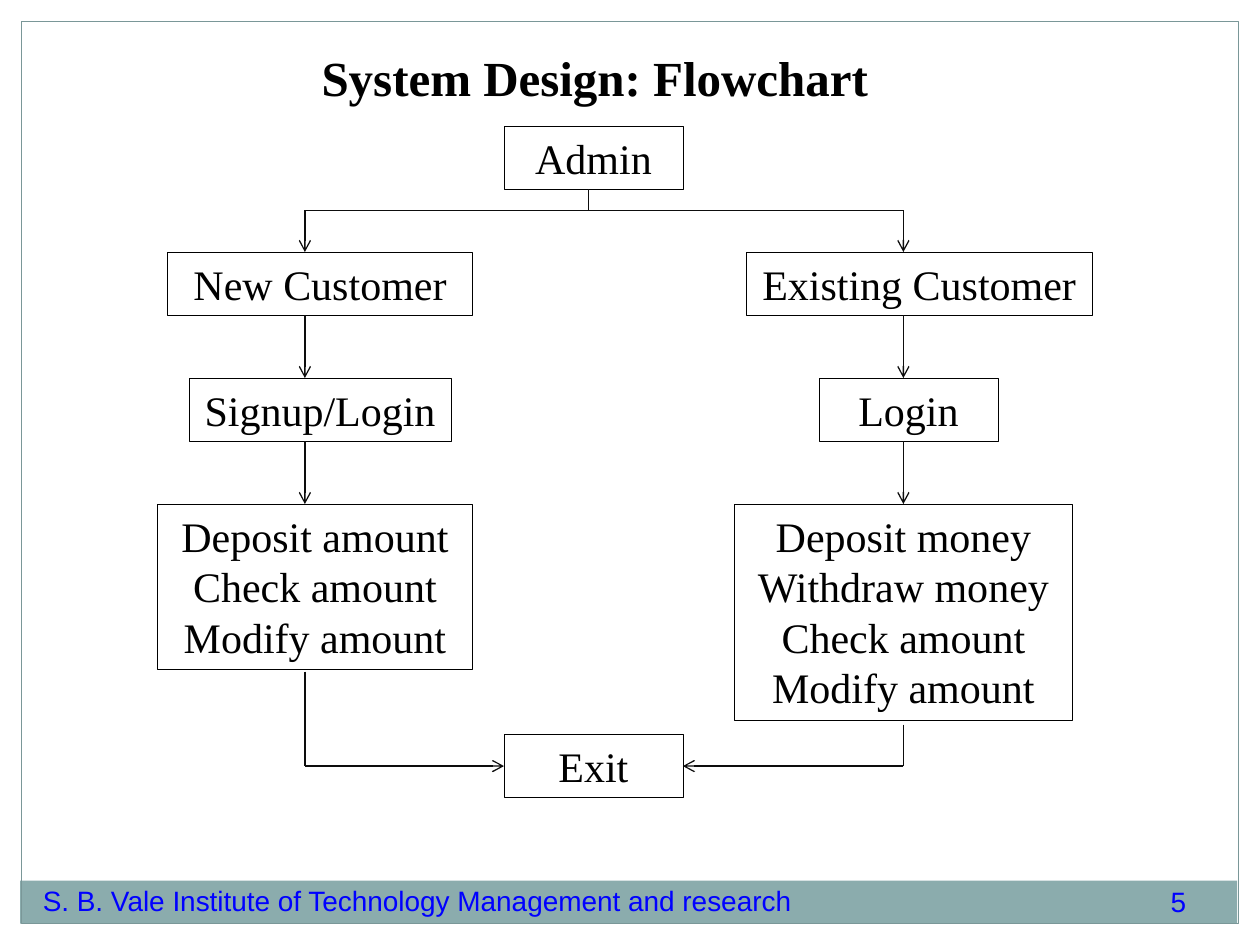
from lxml import etree
from pptx import Presentation
from pptx.dml.color import RGBColor
from pptx.enum.shapes import MSO_CONNECTOR, MSO_SHAPE
from pptx.enum.text import MSO_ANCHOR, PP_ALIGN
from pptx.oxml.ns import qn
from pptx.util import Inches, Pt

RECT = MSO_SHAPE.RECTANGLE
LINE = MSO_CONNECTOR.STRAIGHT
TOP, MID = MSO_ANCHOR.TOP, MSO_ANCHOR.MIDDLE
LEFT, CENTER = PP_ALIGN.LEFT, PP_ALIGN.CENTER

THEME = {
    "serif": "Times New Roman", "sans": "Arial",
    "title": 28, "node": 24, "foot": 16,
    "ink": "000000", "wire": "0D0D0D", "link": "0000FF",
    "band": "8BACAD", "frame": "7A9798",
}

TITLE = "System Design: Flowchart"
# text, left, top, width, height, line spacing in points
FOOT = [
    ("S. B. Vale Institute of Technology Management and research",
     0.34, 7.08, 6.82, 0.25, 14.2),
    ("5", 9.29, 7.03, 0.29, 0.28, 18.7),
]

# key: left, top, width, height, lines of text
NODES = {
    "admin": (4, 1, 1.42, 0.5, ["Admin"]),
    "new": (1.33, 2, 2.42, 0.5, ["New Customer"]),
    "old": (5.92, 2, 2.75, 0.5, ["Existing Customer"]),
    "signup": (1.5, 3, 2.08, 0.5, ["Signup/Login"]),
    "login": (6.5, 3, 1.42, 0.5, ["Login"]),
    "left": (1.25, 4, 2.5, 1.31,
             ["Deposit amount", "Check amount", "Modify amount"]),
    "right": (5.83, 4, 2.68, 1.72,
              ["Deposit money", "Withdraw money", "Check amount",
               "Modify amount"]),
    "exit": (4, 5.83, 1.42, 0.5, ["Exit"]),
}

WEST, EAST, STEM = 2.42, 7.17, 4.67
FORK, JOIN = 1.67, 6.08
# start, end, arrow at the end, (node, side) joined at the end
WIRES = [
    ((STEM, 1.5), (STEM, FORK), False, None),
    ((WEST, FORK), (EAST, FORK), False, None),
    ((WEST, 5.33), (WEST, JOIN), False, None),
    ((EAST, 5.75), (EAST, JOIN), False, None),
    ((WEST, JOIN), (4, JOIN), True, ("exit", 1)),
    ((EAST, JOIN), (5.42, JOIN), True, ("exit", 3)),
]
for x in (WEST, EAST):
    for y, end in ((FORK, 2), (2.5, 3), (3.5, 4)):
        goal = ("right", 0) if (x, end) == (EAST, 4) else None
        WIRES.append(((x, y), (x, end), True, goal))


def color(key):
    return RGBColor.from_string(THEME[key])


def write(frame, lines, face, size, ink, align, bold=False):
    frame.word_wrap = True
    for i, line in enumerate(lines):
        para = frame.paragraphs[0] if i == 0 else frame.add_paragraph()
        para.text = line
        para.alignment = align
        font = para.font
        font.name, font.size, font.bold = THEME[face], Pt(THEME[size]), bold
        font.color.rgb = color(ink)


def add_box(slide, at, fill=None, line=None, width=0.25):
    box = slide.shapes.add_shape(RECT, *map(Inches, at))
    box.shadow.inherit = False
    if fill:
        box.fill.solid()
        box.fill.fore_color.rgb = color(fill)
    else:
        box.fill.background()
    if line:
        box.line.color.rgb = color(line)
        box.line.width = Pt(width)
    else:
        box.line.fill.background()
    return box


def add_wire(slide, start, end, arrow):
    wire = slide.shapes.add_connector(LINE, *map(Inches, start + end))
    wire.line.color.rgb = color("wire")
    wire.line.width = Pt(0.75)
    if arrow:
        etree.SubElement(wire.line._get_or_add_ln(), qn("a:tailEnd"),
                         type="arrow")
    etree.SubElement(wire._element.spPr, qn("a:effectLst"))
    return wire


def main():
    deck = Presentation()
    deck.slide_width, deck.slide_height = Inches(10), Inches(7.5)
    slide = deck.slides.add_slide(deck.slide_layouts[6])

    add_box(slide, (0.16, 6.99, 9.66, 0.34), fill="band")
    add_box(slide, (0.17, 0.17, 9.66, 7.16), line="frame", width=0.75)

    for text, *at, gap in FOOT:
        frame = slide.shapes.add_textbox(*map(Inches, at)).text_frame
        frame.margin_left = frame.margin_right = 0
        frame.margin_top = frame.margin_bottom = 0
        write(frame, [text], "sans", "foot", "link", LEFT)
        frame.paragraphs[0].line_spacing = Pt(gap)

    head = slide.shapes.add_textbox(*map(Inches, (2.42, 0.33, 6.26, 0.57)))
    head.text_frame.margin_left = 0
    head.text_frame.margin_right = Inches(1.66)
    write(head.text_frame, [TITLE], "serif", "title", "ink", CENTER, True)

    boxes = {}
    for key, (*at, lines) in NODES.items():
        box = boxes[key] = add_box(slide, at, line="ink")
        box.text_frame.vertical_anchor = TOP if len(lines) > 1 else MID
        write(box.text_frame, lines, "serif", "node", "ink", CENTER)

    for start, end, arrow, goal in WIRES:
        wire = add_wire(slide, start, end, arrow)
        if goal:
            key, side = goal
            wire.end_connect(boxes[key], side)

    deck.save("out.pptx")


if __name__ == "__main__":
    main()
